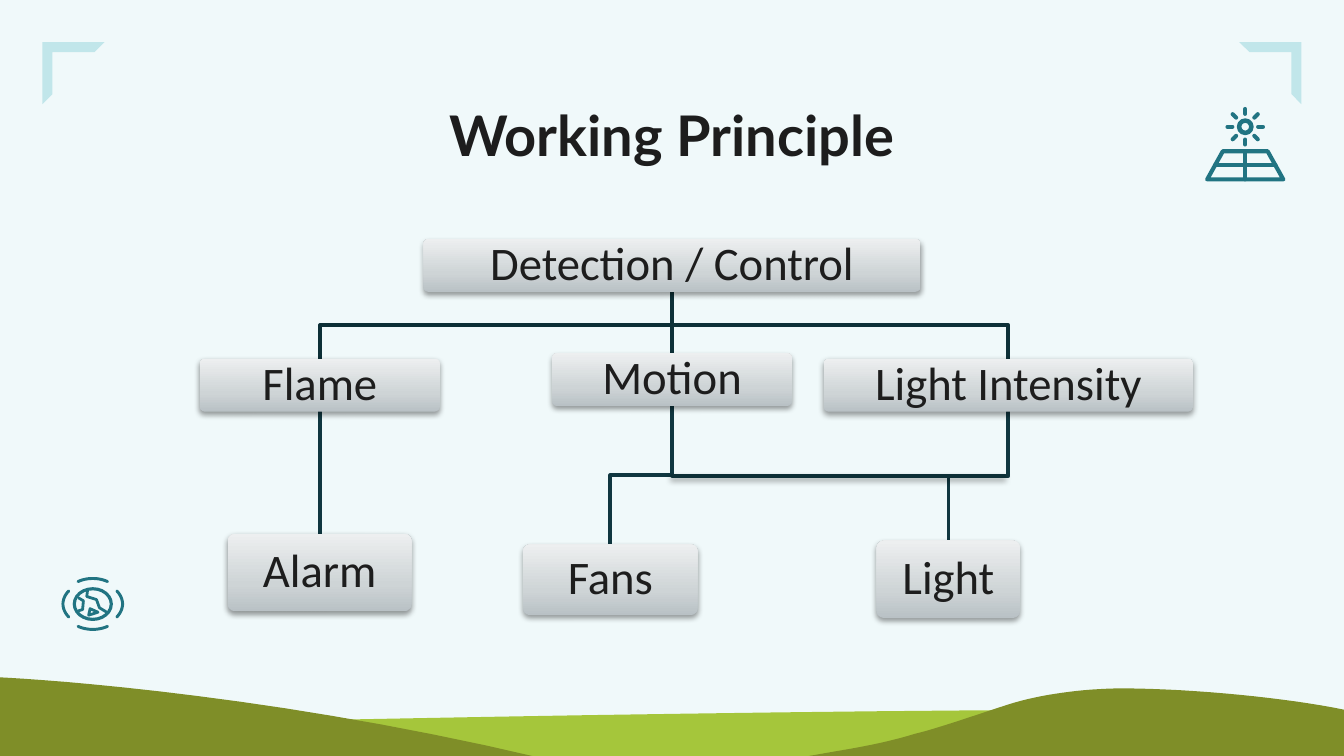
from dataclasses import dataclass
from math import cos, pi, sin

from lxml.etree import SubElement
from pptx import Presentation
from pptx.dml.color import RGBColor
from pptx.enum.shapes import MSO_CONNECTOR as Connector, MSO_SHAPE as Preset
from pptx.enum.text import MSO_ANCHOR as Anchor, PP_ALIGN as Align
from pptx.oxml import parse_xml
from pptx.oxml.ns import nsdecls, qn
from pptx.util import Pt

COLOURS = {
    "page": "F0F9FA", "corner": "C1E6EA", "icon": "217482", "ink": "1D1D1D",
    "back_hill": "A5C63B", "front_hill": "7F8E28",
    "outer_link": "0C2F36", "upper_link": "0E3138", "lower_link": "103740",
}
BOX_GRADIENT = ((0, "B9C1C5"), (35, "CED4D6"), (100, "EDEFF0"))
UNIT = 100  # freeform steps per point


@dataclass(frozen=True)
class Node:
    text: str
    left: float
    top: float
    width: float
    height: float

    @property
    def centre(self) -> float:
        return self.left + self.width / 2

    @property
    def bottom(self) -> float:
        return self.top + self.height


@dataclass(frozen=True)
class Hill:
    """Outline whose steps are line ends (2 numbers) or cubic curves (6)."""
    start: tuple
    steps: tuple
    colour: str


HILLS = (
    Hill((610.6, 380.2), ((377, 380.2, 0, 389.5, 0, 389.5), (88.6, 407.5), (712, 407.5),
                          (712, 380.9), (684, 380.2, 649.4, 380.2, 610.6, 380.2)), "back_hill"),
    Hill((0, 362.9), ((0, 407.5), (289.4, 406), (131.8, 368.6, 0, 362.9, 0, 362.9)),
         "front_hill"),
    Hill((420.5, 407.5), ((431, 405.4, 442, 403.5, 452, 401.8),
                          (465, 399.6, 479, 396.7, 490.3, 393.1),
                          (503, 390.2, 531, 380.2, 542.9, 376.6),
                          (562, 371, 585, 368.8, 602, 368.8),
                          (640, 369, 690, 374, 720, 380.2), (720, 407.5)), "front_hill"),
)

DETECTION = Node("Detection / Control", 226.8, 128, 266.4, 28.4)
FLAME = Node("Flame", 107, 192.2, 128.7, 28.4)
MOTION = Node("Motion", 295.7, 189.2, 128.7, 28.4)
INTENSITY = Node("Light Intensity", 441.2, 192.2, 198, 28.4)
ALARM = Node("Alarm", 122, 286, 98.6, 41.6)
FANS = Node("Fans", 280.2, 291.6, 93.6, 38)
LIGHT = Node("Light", 469.6, 289.6, 77, 41.6)
NODES = (DETECTION, FLAME, MOTION, INTENSITY, ALARM, FANS, LIGHT)
LINKS = (
    (DETECTION, FLAME, "outer_link"), (DETECTION, MOTION, "upper_link"),
    (DETECTION, INTENSITY, "upper_link"), (FLAME, ALARM, "lower_link"),
    (MOTION, FANS, "lower_link"), (INTENSITY, LIGHT, "lower_link"),
)


def rgb(name: str) -> RGBColor:
    return RGBColor.from_string(COLOURS[name])


def flatten(start: tuple, steps: tuple, pieces: int = 16) -> list:
    """Turn lines and cubic curves into a list of points."""
    points = [start]
    for step in steps:
        if len(step) == 2:
            points.append(step)
            continue
        knots = (points[-1], step[:2], step[2:4], step[4:])
        for piece in range(1, pieces + 1):
            t = piece / pieces
            weights = ((1 - t) ** 3, 3 * t * (1 - t) ** 2, 3 * t * t * (1 - t), t ** 3)
            points.append(tuple(sum(w * knot[axis] for w, knot in zip(weights, knots))
                                for axis in (0, 1)))
    return points


def set_line(shape, colour: str, width: float) -> None:
    shape.line.color.rgb = rgb(colour)
    shape.line.width = Pt(width)
    shape.line._get_or_add_ln().set("cap", "rnd")


def paint(shape, fill: str = "", line: str = "", width: float = 2) -> None:
    shape.shadow.inherit = False
    if fill:
        shape.fill.solid()
        shape.fill.fore_color.rgb = rgb(fill)
    else:
        shape.fill.background()
    if line:
        set_line(shape, line, width)
    else:
        shape.line.fill.background()


def draw_outline(page, points: list, closed: bool = False, **look) -> None:
    scaled = [(x * UNIT, y * UNIT) for x, y in points]
    builder = page.shapes.build_freeform(*scaled[0], scale=Pt(1) / UNIT)
    builder.add_line_segments(scaled[1:], close=closed)
    paint(builder.convert_to_shape(), **look)


def draw_line(page, start: tuple, end: tuple, colour: str, width: float = 2):
    line = page.shapes.add_connector(Connector.STRAIGHT, *(Pt(v) for v in start + end))
    set_line(line, colour, width)
    SubElement(line._element.spPr, qn("a:effectLst"))
    return line


def draw_ring(page, x: float, y: float, rx: float, ry: float, width: float) -> None:
    ring = page.shapes.add_shape(Preset.OVAL, Pt(x - rx), Pt(y - ry), Pt(2 * rx), Pt(2 * ry))
    paint(ring, line="icon", width=width)


def cast_shadow(shape) -> None:
    effects = shape._element.spPr.find(qn("a:effectLst"))
    effects.append(parse_xml(
        f'<a:outerShdw {nsdecls("a")} blurRad="{Pt(3.1)}" dist="{Pt(1.6)}" dir="5400000" '
        'algn="ctr" rotWithShape="0"><a:srgbClr val="000000"><a:alpha val="38000"/>'
        '</a:srgbClr></a:outerShdw>'))


def write(shape, text: str, *, size: float, font: str, bold: bool = False,
          anchor=Anchor.TOP, spacing: float = 1.0) -> None:
    frame = shape.text_frame
    frame.word_wrap = True
    frame.vertical_anchor = anchor
    frame.margin_left = frame.margin_right = Pt(7.2)
    frame.margin_top = frame.margin_bottom = Pt(7.2)
    para = frame.paragraphs[0]
    para.alignment = Align.CENTER
    para.line_spacing = spacing
    span = para.add_run()
    span.text = text
    span.font.size, span.font.name, span.font.bold = Pt(size), font, bold
    span.font.color.rgb = rgb("ink")


def draw_node(page, node: Node) -> None:
    box = page.shapes.add_shape(Preset.ROUNDED_RECTANGLE, Pt(node.left), Pt(node.top),
                                Pt(node.width), Pt(node.height))
    box.adjustments[0] = 0.1
    paint(box)
    stops = "".join(f'<a:gs pos="{stop * 1000}"><a:srgbClr val="{colour}"/></a:gs>'
                    for stop, colour in BOX_GRADIENT)
    properties = box._element.spPr
    properties.replace(properties.find(qn("a:noFill")), parse_xml(
        f'<a:gradFill {nsdecls("a")} rotWithShape="1"><a:gsLst>{stops}</a:gsLst>'
        '<a:lin ang="16200000" scaled="0"/></a:gradFill>'))
    cast_shadow(box)
    write(box, node.text, size=25, font="Calibri", anchor=Anchor.MIDDLE, spacing=0.9)


def draw_link(page, parent: Node, child: Node, colour: str) -> None:
    start, end = (parent.centre, parent.bottom), (child.centre, child.top)
    if abs(start[0] - end[0]) < 1:
        draw_line(page, start, (start[0], end[1]), colour)
        return
    middle = (start[1] + end[1]) / 2
    draw_outline(page, [start, (start[0], middle), (end[0], middle), end], line=colour)


def draw_corner(page, left: float, flipped: bool) -> None:
    corner = page.shapes.add_shape(Preset.HALF_FRAME, Pt(left), Pt(22.5), Pt(33.3), Pt(33.3))
    corner.adjustments[0], corner.adjustments[1] = 0.163, 0.161
    paint(corner, fill="corner")
    if flipped:
        corner._element.spPr.find(qn("a:xfrm")).set("flipH", "1")


def draw_globe(page, x: float, y: float) -> None:
    draw_ring(page, x, y, 9.9, 8.2, 1.7)
    lands = ([(-7.5, -3.2), (-5, -1.7), (-5.4, 3), (-7.5, 3.6)],
             [(-2.8, -7.4), (-3.2, -4), (2, -2.4), (3.6, 2), (7.2, 4.2)],
             [(-1.4, 2.5), (-2.2, 6), (2.8, 4.4), (-1.4, 2.5)])
    for land in lands:
        draw_outline(page, [(x + dx, y + dy) for dx, dy in land], line="icon", width=1.5)
    for side in (-1, 1):
        for start, curve in (((-7.9, 12), (-3, 14.2, 3, 14.2, 7.9, 12)),
                             ((12.9, -7), (17, -2.6, 17, 2.6, 12.9, 7))):
            arc = flatten(start, (curve,))
            draw_outline(page, [(x + side * dx, y + side * dy) for dx, dy in arc],
                         line="icon", width=1.6)


def draw_solar_panel(page, x: float, y: float) -> None:
    """Sun centred on x, y with a panel below it."""
    draw_ring(page, x, y, 3.3, 3.3, 2.4)
    for ray in range(8):
        dx, dy = cos(ray * pi / 4), sin(ray * pi / 4)
        draw_line(page, (x + 6.9 * dx, y + 6.9 * dy), (x + 9.5 * dx, y + 9.5 * dy), "icon", 2.2)
    top, bottom = y + 13.1, y + 28.2
    draw_outline(page, [(x - 12, top), (x + 12, top), (x + 20.4, bottom), (x - 20.4, bottom)],
                 closed=True, line="icon", width=2.2)
    middle = (top + bottom) / 2
    draw_line(page, (x - 16.2, middle), (x + 16.2, middle), "icon", 2.2)
    draw_line(page, (x, top), (x, bottom), "icon", 2.2)


def main() -> None:
    deck = Presentation()
    deck.slide_width, deck.slide_height = Pt(720), Pt(405)
    page = deck.slides.add_slide(deck.slide_layouts[6])
    page.background.fill.solid()
    page.background.fill.fore_color.rgb = rgb("page")
    draw_corner(page, 22.7, flipped=False)
    draw_corner(page, 663.9, flipped=True)
    for hill in HILLS:
        draw_outline(page, flatten(hill.start, hill.steps), closed=True, fill=hill.colour)
    title = page.shapes.add_textbox(Pt(56.7), Pt(46.8), Pt(606.6), Pt(45.4))
    write(title, "Working Principle", size=30, font="Lato", bold=True)
    draw_globe(page, 49.7, 323.6)
    draw_solar_panel(page, 667.1, 67.9)
    for parent, child, colour in LINKS:
        draw_link(page, parent, child, colour)
    for node in NODES:
        draw_node(page, node)
    cast_shadow(draw_line(page, (360, 254.9), (537.8, 254.9), "outer_link"))
    deck.save("out.pptx")


if __name__ == "__main__":
    main()
